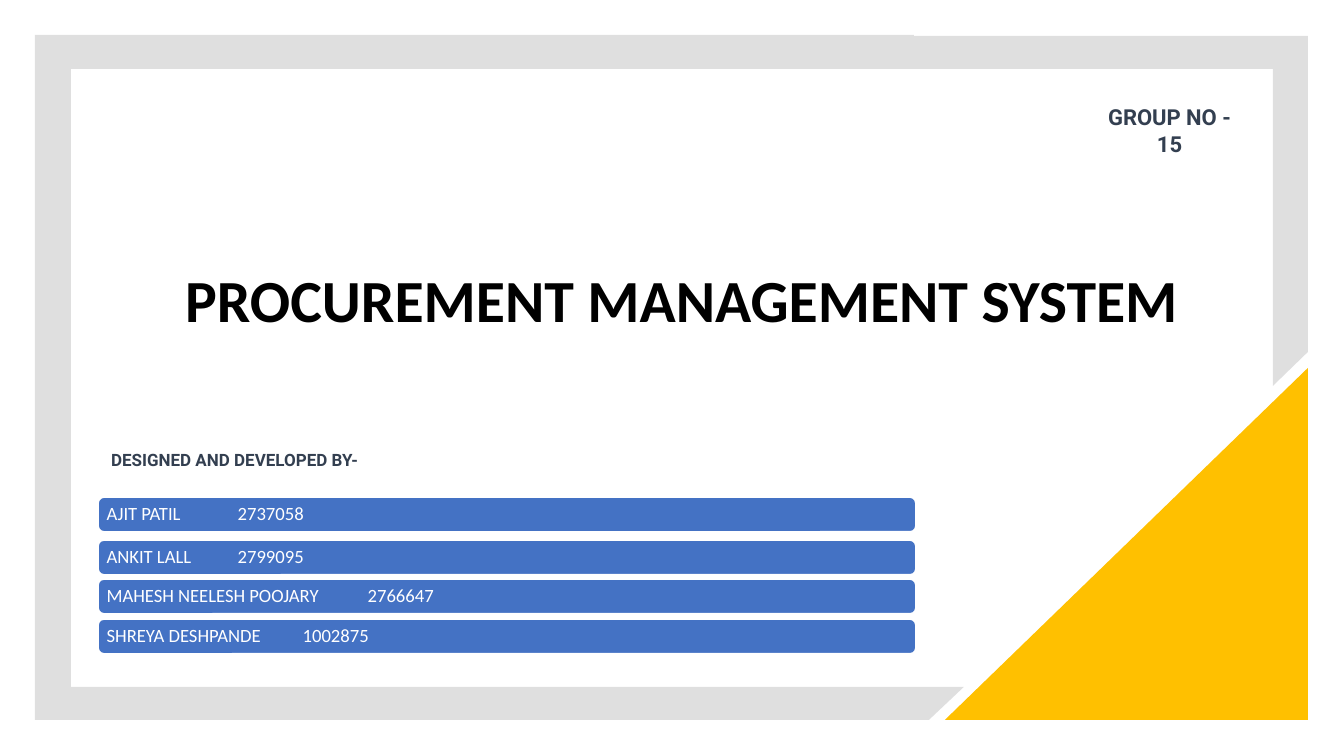
from lxml import etree
from pptx import Presentation
from pptx.dml.color import RGBColor
from pptx.enum.shapes import MSO_SHAPE
from pptx.enum.text import MSO_ANCHOR, PP_ALIGN
from pptx.oxml.ns import qn
from pptx.util import Pt

SCALE = 914400 / 134.4
TITLE_ONLY = 5
LEFT, CENTER = PP_ALIGN.LEFT, PP_ALIGN.CENTER
TOP, MIDDLE = MSO_ANCHOR.TOP, MSO_ANCHOR.MIDDLE
ROUNDED, TRIANGLE = MSO_SHAPE.ROUNDED_RECTANGLE, MSO_SHAPE.RIGHT_TRIANGLE

BLACK = RGBColor(0x00, 0x00, 0x00)
WHITE = RGBColor(0xFF, 0xFF, 0xFF)
GRAY = RGBColor(0x80, 0x80, 0x80)
GOLD = RGBColor(0xFF, 0xC0, 0x00)
BLUE = RGBColor(0x44, 0x72, 0xC4)
SLATE = RGBColor(0x33, 0x3F, 0x50)

FRAME = [
    (35, 35), (914, 35), (914, 36), (1308, 36), (1308, 352), (1273, 386),
    (1273, 69), (71, 69), (71, 687), (964, 687), (929, 720), (35, 720),
]
MEMBERS = [
    ("AJIT PATIL", "2737058", 497, 131),
    ("ANKIT LALL", "2799095", 540, 131),
    ("MAHESH NEELESH POOJARY", "2766647", 579, 261),
    ("SHREYA DESHPANDE", "1002875", 619, 196),
]


def px(value):
    return round(value * SCALE)


def write(shape, text, size, color, font="Calibri", bold=False, align=LEFT,
          anchor=TOP, inset=(13, 13), spacing=1.0, after=0, tab=None):
    frame = shape.text_frame
    frame.word_wrap = True
    frame.vertical_anchor = anchor
    frame.margin_left = frame.margin_right = px(inset[0])
    frame.margin_top = frame.margin_bottom = px(inset[1])
    para = frame.paragraphs[0]
    para.alignment = align
    para.line_spacing = spacing
    para.space_after = Pt(after)
    if tab:
        tabs = etree.SubElement(para._p.get_or_add_pPr(), qn("a:tabLst"))
        etree.SubElement(tabs, qn("a:tab"), pos=str(px(tab)), algn="l")
    span = para.add_run()
    span.text = text
    span.font.name = font
    span.font.size = Pt(size)
    span.font.bold = bold
    span.font.color.rgb = color


def paint(shape, color, line=None):
    shape.shadow.inherit = False
    shape.fill.solid()
    shape.fill.fore_color.rgb = color
    if line is None:
        shape.line.fill.background()
    else:
        shape.line.color.rgb = line
        shape.line.width = Pt(1)


def add_shape(page, kind, box, color, line=None):
    shape = page.shapes.add_shape(kind, *map(px, box))
    paint(shape, color, line)
    return shape


def add_frame(page, points, color, opacity):
    builder = page.shapes.build_freeform(*points[0], scale=SCALE)
    builder.add_line_segments(points[1:], close=True)
    shape = builder.convert_to_shape()
    paint(shape, color)
    tint = shape.fill._xPr.find(qn("a:solidFill"))[0]
    etree.SubElement(tint, qn("a:alpha"), val=str(opacity * 1000))


def add_corner(page, box, color):
    corner = add_shape(page, TRIANGLE, box, color)
    corner._element.spPr.get_or_add_xfrm().set("flipH", "1")


def add_title(page, text, box):
    title = page.shapes.title
    title.left, title.top, title.width, title.height = map(px, box)
    write(title, text, 32, BLACK, bold=True, anchor=MIDDLE, inset=(13, 7),
          spacing=0.9)


def add_label(page, text, box, size, align=LEFT):
    label = page.shapes.add_textbox(*map(px, box))
    write(label, text, size, SLATE, font="Roboto", bold=True, align=align,
          after=4.3)


def add_member(page, name, number, top, tab):
    bar = add_shape(page, ROUNDED, (98, top, 818, 35), BLUE, WHITE)
    write(bar, f"{name}\t{number}", 10, WHITE, anchor=MIDDLE, inset=(7, 5),
          spacing=0.9, tab=tab)


def main():
    deck = Presentation()
    deck.slide_width, deck.slide_height = px(1344), px(756)
    page = deck.slides.add_slide(deck.slide_layouts[TITLE_ONLY])
    add_frame(page, FRAME, GRAY, 25)
    add_corner(page, (945, 368, 363, 352), GOLD)
    add_title(page, "PROCUREMENT MANAGEMENT SYSTEM", (172, 241, 1064, 124))
    add_label(page, "GROUP NO - 15", (1091, 91, 157, 87), 11.8, CENTER)
    add_label(page, "DESIGNED AND DEVELOPED BY-", (98, 439, 290, 55), 9.1)
    for member in MEMBERS:
        add_member(page, *member)
    deck.save("out.pptx")


main()
